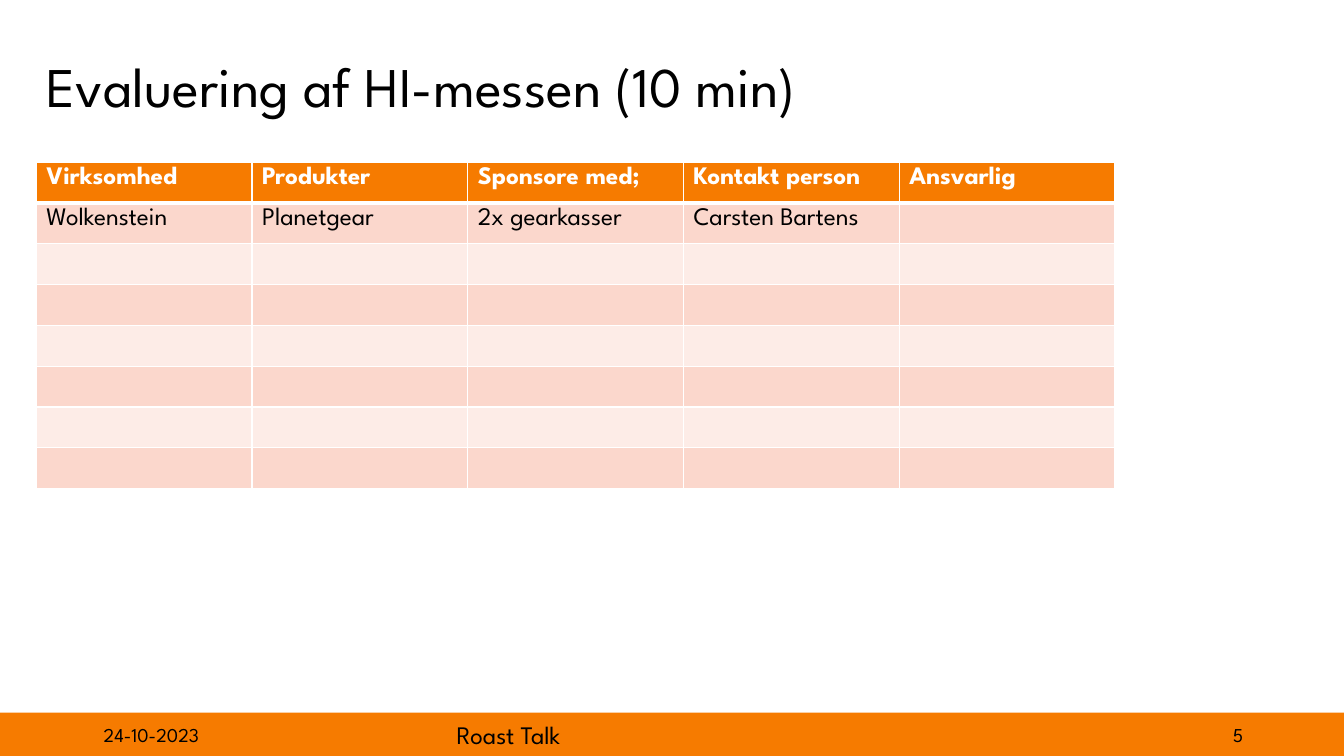
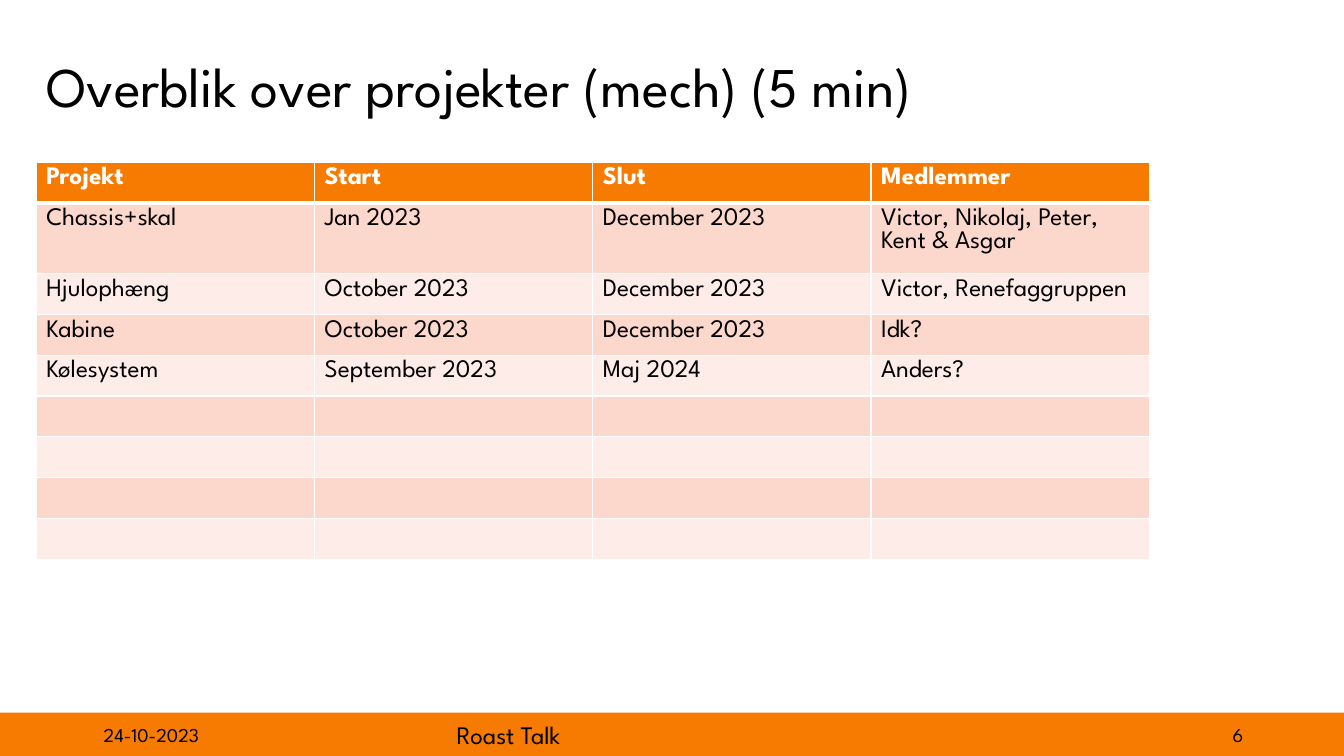
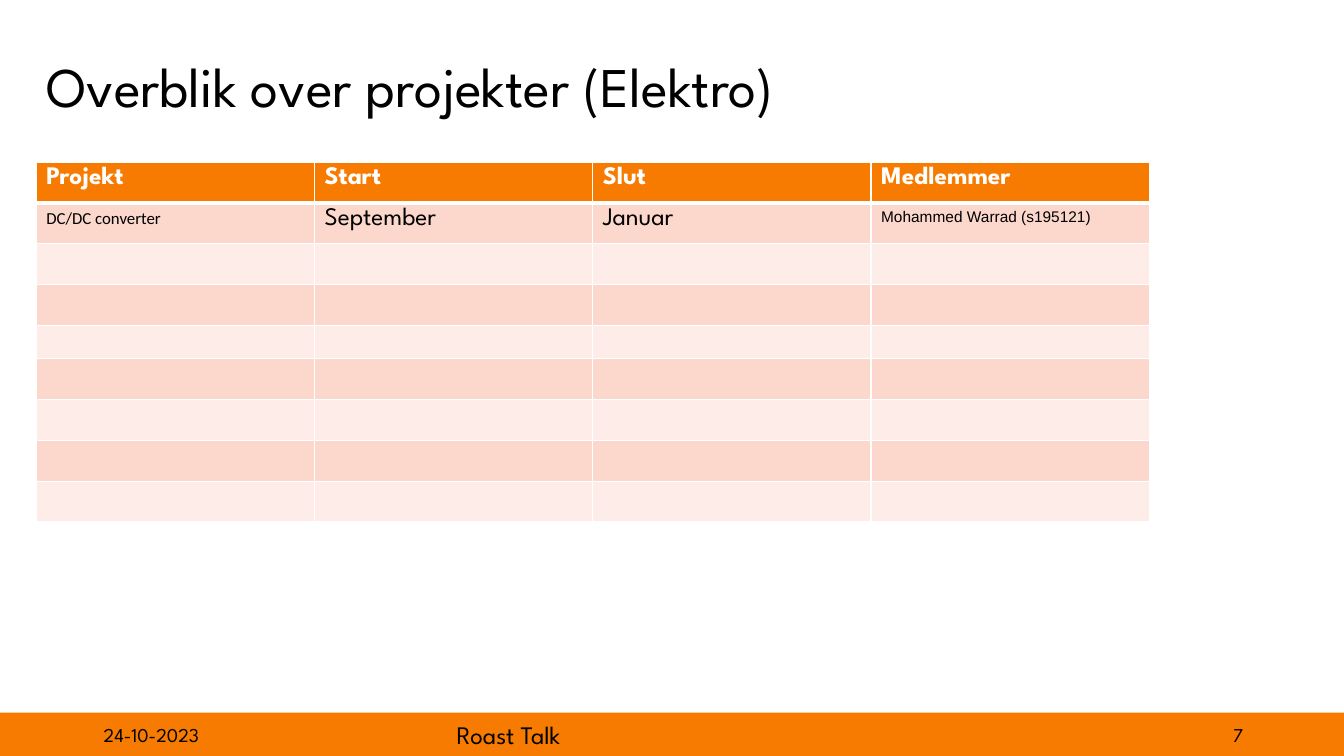
from lxml import etree
from pptx import Presentation
from pptx.dml.color import RGBColor
from pptx.enum.shapes import MSO_SHAPE
from pptx.enum.text import MSO_ANCHOR as ANCHOR, MSO_AUTO_SIZE as AUTO, PP_ALIGN as ALIGN
from pptx.oxml.ns import qn
from pptx.util import Inches, Pt

# Shared look
ORANGE = RGBColor(0xF6, 0x7B, 0x00)
ROSE = RGBColor(0xFB, 0xD7, 0xCC)
BLUSH = RGBColor(0xFD, 0xEC, 0xE7)
BLACK = RGBColor(0x00, 0x00, 0x00)
WHITE = RGBColor(0xFF, 0xFF, 0xFF)
FONT = "League Spartan"
LEFT = 0.36
TABLE_TOP = 1.61
ROW_H = 3.24 / 8
PROJECT_HEADER = ["Projekt", "Start", "Slut", "Medlemmer"]


def write(tf, text, size, color=BLACK, font=FONT, bold=False, align=ALIGN.LEFT):
    p = tf.paragraphs[0]
    p.text = text
    p.alignment = align
    for r in p.runs:
        r.font.name = font
        r.font.size = Pt(size)
        r.font.bold = bold
        r.font.color.rgb = color
    return p


def add_title(slide, text, x, y, w, h):
    sp = slide.shapes.title
    sp.left, sp.top, sp.width, sp.height = (Inches(v) for v in (x, y, w, h))
    tf = sp.text_frame
    tf.auto_size = AUTO.NONE
    tf.vertical_anchor = ANCHOR.MIDDLE
    write(tf, text, 40).line_spacing = 0.9


def add_footer(slide, number, y):
    # Band
    band = slide.shapes.add_shape(
        MSO_SHAPE.RECTANGLE, 0, Inches(y), Inches(13.35), Inches(0.45))
    band.shadow.inherit = False
    band.fill.solid()
    band.fill.fore_color.rgb = ORANGE
    band.line.fill.background()
    # Date, talk name and slide number
    for x, w, text, size, anchor, align in (
        (0.93, 3, "24-10-2023", 14, ANCHOR.MIDDLE, ALIGN.LEFT),
        (4.43, 4.5, "Roast Talk", 18, ANCHOR.TOP, ALIGN.LEFT),
        (9.43, 3, str(number), 14, ANCHOR.MIDDLE, ALIGN.RIGHT),
    ):
        box = slide.shapes.add_textbox(
            Inches(x), Inches(y + 0.02), Inches(w), Inches(0.4))
        tf = box.text_frame
        tf.word_wrap = True
        tf.vertical_anchor = anchor
        write(tf, text, size, align=align)


def set_borders(cell, top, bottom):
    tc_pr = cell._tc.get_or_add_tcPr()
    for side, width in (("L", 1), ("R", 1), ("T", top), ("B", bottom)):
        ln = etree.SubElement(tc_pr, qn(f"a:ln{side}"), w=str(Pt(width)))
        fill = etree.SubElement(ln, qn("a:solidFill"))
        etree.SubElement(fill, qn("a:srgbClr"), val=str(WHITE))


def add_grid(slide, x, y, col_w, rows, row_count, heights, fonts):
    """Rows are padded with blanks; heights and fonts hold the exceptions."""
    cols = len(rows[0])
    table = slide.shapes.add_table(
        row_count, cols, Inches(x), Inches(y),
        Inches(col_w * cols), Inches(ROW_H * row_count)).table
    for col in table.columns:
        col.width = Inches(col_w)
    for i, row in enumerate(table.rows):
        row.height = Inches(heights.get(i, ROW_H))
        texts = rows[i] if i < len(rows) else [""] * cols
        header = i == 0
        for j, (cell, text) in enumerate(zip(row.cells, texts)):
            set_borders(cell, 3 if i == 1 else 1, 3 if header else 1)
            cell.fill.solid()
            cell.fill.fore_color.rgb = ORANGE if header else ROSE if i % 2 else BLUSH
            if text:
                font, size = fonts.get((i, j), (FONT, 18))
                write(cell.text_frame, text, size, WHITE if header else BLACK,
                      font, header)
            else:
                cell.margin_top = cell.margin_bottom = 0


def add_table_slide(prs, number, title, col_w, rows, row_count,
                    heights={}, fonts={}):
    slide = prs.slides.add_slide(prs.slide_layouts[5])
    add_title(slide, title, LEFT, 0.16, 11.23, 1.45)
    add_footer(slide, number, 7.07)
    add_grid(slide, LEFT, TABLE_TOP, col_w, rows, row_count, heights, fonts)


def main():
    prs = Presentation()
    prs.slide_width, prs.slide_height = Inches(13.33), Inches(7.5)

    add_table_slide(prs, 5, "Evaluering af HI-messen (10 min)", 2.14, [
        ["Virksomhed", "Produkter", "Sponsore med;", "Kontakt person", "Ansvarlig"],
        ["Wolkenstein", "Planetgear", "2x gearkasser", "Carsten Bartens", ""],
    ], 8)

    add_table_slide(prs, 6, "Overblik over projekter (mech) (5 min)", 2.76, [
        PROJECT_HEADER,
        ["Chassis+skal", "Jan 2023", "December 2023",
         "Victor, Nikolaj, Peter, Kent & Asgar"],
        ["Hjulophæng", "October 2023", "December 2023", "Victor, Renefaggruppen"],
        ["Kabine", "October 2023", "December 2023", "Idk?"],
        ["Kølesystem", "September 2023", "Maj 2024", "Anders?"],
    ], 9, heights={1: 0.56})

    add_table_slide(prs, 7, "Overblik over projekter (Elektro)", 2.76, [
        PROJECT_HEADER,
        ["DC/DC converter", "September", "Januar", "Mohammed Warrad (s195121)"],
    ], 9, heights={4: 0.33}, fonts={(1, 0): ("Calibri", 12), (1, 3): ("Arial", 11)})

    prs.save("out.pptx")


if __name__ == "__main__":
    main()
